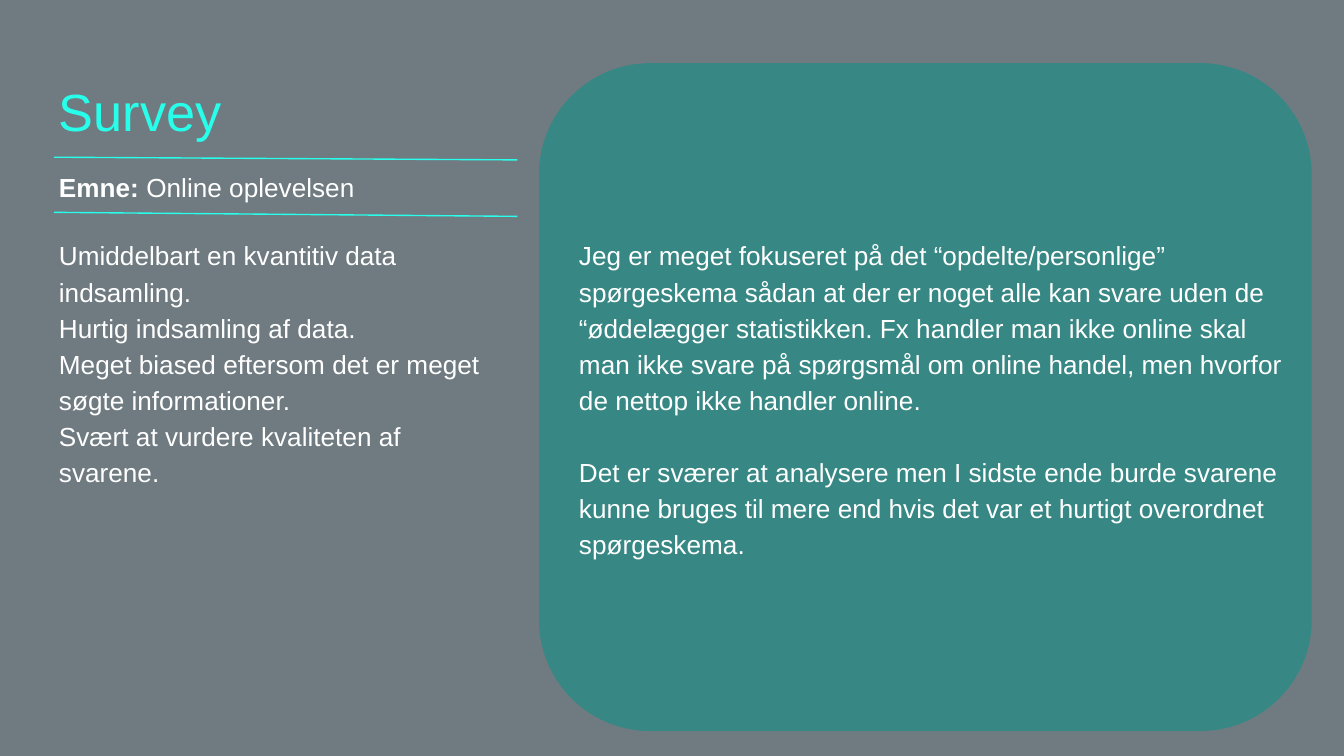
from dataclasses import dataclass

from lxml import etree
from pptx import Presentation
from pptx.dml.color import RGBColor
from pptx.enum.shapes import MSO_CONNECTOR as Connector, MSO_SHAPE as Shape
from pptx.enum.text import MSO_ANCHOR as Anchor
from pptx.oxml.ns import qn
from pptx.util import Inches, Pt


@dataclass(frozen=True)
class Theme:
    font: str = "Arial"
    background: str = "666666"
    overlay: str = "78909C"
    panel: str = "009688"
    accent: str = "27FFEB"
    text: str = "FFFFFF"
    title_size: float = 28
    body_size: float = 14
    line_width: float = 0.75
    line_spacing: float = 1.15
    paragraph_gap: float = 19.3


THEME = Theme()
LEFT = 0.34
BODY_TOP = 1.65
BODY_HEIGHT = 3.35

FINDINGS = [
    "Umiddelbart en kvantitiv data indsamling.",
    "Hurtig indsamling af data.",
    "Meget biased eftersom det er meget søgte informationer.",
    "Svært at vurdere kvaliteten af svarene.",
]
REFLECTIONS = [
    "Jeg er meget fokuseret på det “opdelte/personlige” spørgeskema sådan at der "
    "er noget alle kan svare uden de “øddelægger statistikken. Fx handler man "
    "ikke online skal man ikke svare på spørgsmål om online handel, men hvorfor "
    "de nettop ikke handler online.",
    "Det er sværer at analysere men I sidste ende burde svarene kunne bruges til "
    "mere end hvis det var et hurtigt overordnet spørgeskema.",
]


def rgb(value):
    return RGBColor.from_string(value)


def add_tint(page, kind, place, color):
    shape = page.shapes.add_shape(kind, *map(Inches, place))
    shape.shadow.inherit = False
    shape.fill.solid()
    shape.fill.fore_color.rgb = rgb(color)
    shape.line.fill.background()
    fill = shape._element.spPr.find(qn("a:solidFill"))
    etree.SubElement(fill[0], qn("a:alpha"), val="50000")


def add_text(page, place, texts, size=THEME.body_size, color=THEME.text,
             spacing=THEME.line_spacing, gap=0):
    box = page.shapes.add_textbox(*map(Inches, place))
    frame = box.text_frame
    frame.word_wrap = True
    frame.vertical_anchor = Anchor.TOP
    frame.margin_left = frame.margin_right = Inches(0.1)
    frame.margin_top = frame.margin_bottom = Inches(0.1)
    frame.text = "\n".join(texts)
    for para in frame.paragraphs:
        para.line_spacing = spacing
        para.space_after = Pt(gap)
        for span in para.runs:
            style_span(span, size, color)
    return frame


def style_span(span, size, color, bold=False):
    span.font.name = THEME.font
    span.font.size = Pt(size)
    span.font.color.rgb = rgb(color)
    span.font.bold = bold


def add_topic(page, place, label, topic):
    para = add_text(page, place, [label]).paragraphs[0]
    para.runs[0].font.bold = True
    span = para.add_run()
    span.text = topic
    style_span(span, THEME.body_size, THEME.text)


def add_rule(page, start_y, end_y):
    ends = map(Inches, (0.4, start_y, 3.85, end_y))
    rule = page.shapes.add_connector(Connector.STRAIGHT, *ends)
    rule.line.color.rgb = rgb(THEME.accent)
    rule.line.width = Pt(THEME.line_width)
    etree.SubElement(rule._element.spPr, qn("a:effectLst"))


def main():
    deck = Presentation()
    deck.slide_width = Inches(10)
    deck.slide_height = deck.slide_width * 9 // 16
    page = deck.slides.add_slide(deck.slide_layouts[6])
    page.background.fill.solid()
    page.background.fill.fore_color.rgb = rgb(THEME.background)

    add_tint(page, Shape.RECTANGLE, (0, 0, 10.08, 5.72), THEME.overlay)
    add_tint(page, Shape.ROUNDED_RECTANGLE, (4.01, 0.47, 5.75, 4.97), THEME.panel)

    add_text(page, (LEFT, 0.49, 9.32, 0.63), ["Survey"],
             THEME.title_size, THEME.accent, spacing=1)
    add_text(page, (LEFT, BODY_TOP, 3.35, BODY_HEIGHT), FINDINGS)
    add_text(page, (4.21, BODY_TOP, 5.44, BODY_HEIGHT), REFLECTIONS,
             gap=THEME.paragraph_gap)
    add_topic(page, (LEFT, 1.14, 9.32, 0.45), "Emne:", " Online oplevelsen")

    for start_y, end_y in ((1.17, 1.19), (1.58, 1.61)):
        add_rule(page, start_y, end_y)

    deck.save("out.pptx")


if __name__ == "__main__":
    main()
